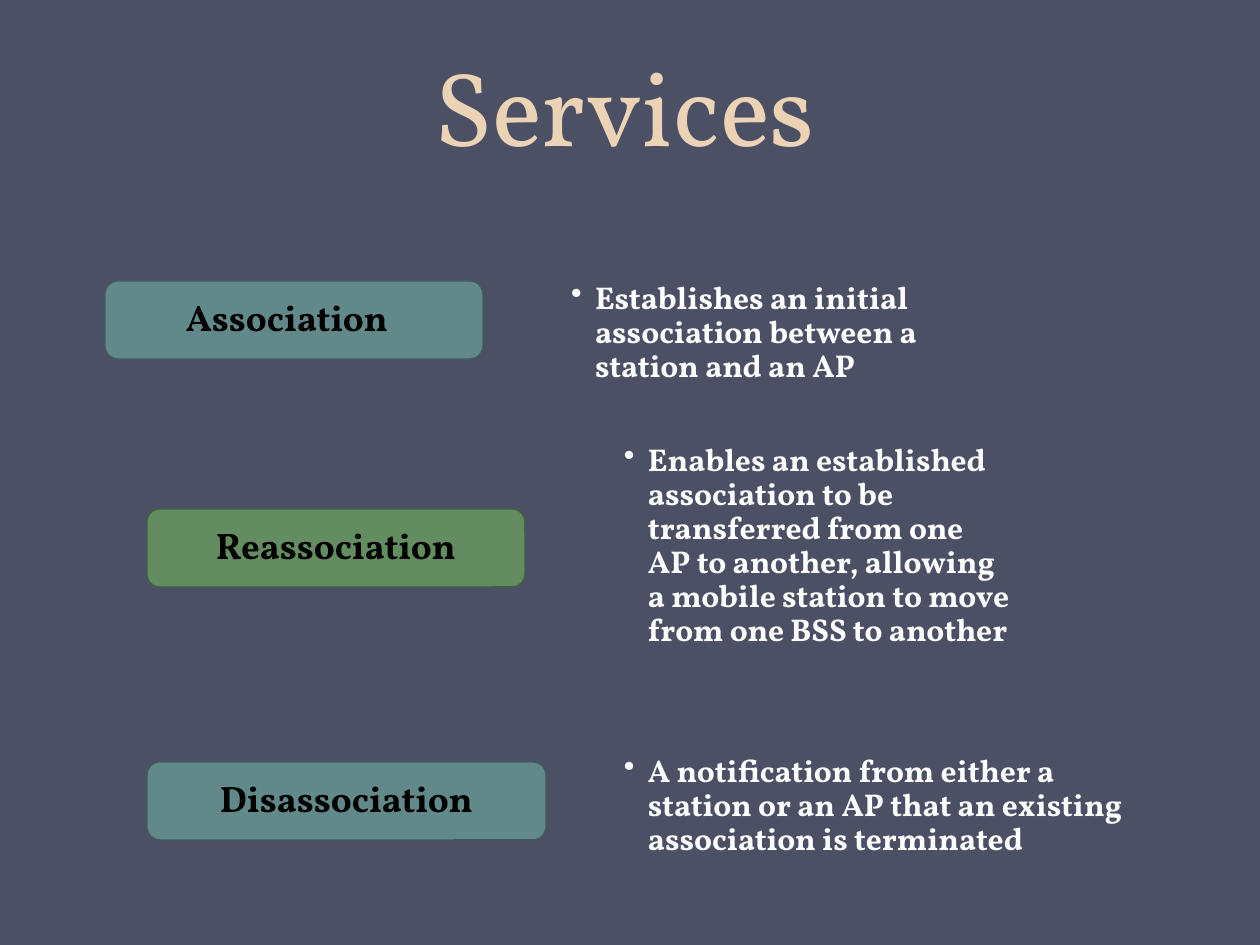
from lxml.etree import SubElement
from pptx import Presentation
from pptx.dml.color import RGBColor
from pptx.enum.shapes import MSO_SHAPE
from pptx.enum.text import MSO_ANCHOR, PP_ALIGN
from pptx.oxml.ns import qn
from pptx.util import Emu, Pt

FONT = "Vollkorn"
COLORS = {
    "background": "4B5064",
    "title": "EDD3B6",
    "label": "000000",
    "description": "FFFFFF",
    "teal": "61898A",
    "teal_line": "415B5C",
    "green": "648C61",
    "green_line": "435E40",
}
LABEL_HEIGHT = 78

# name, colour, label (left, top, width), right inset, description, its box
SERVICES = [
    ("Association", "teal", (105, 281, 378), 29,
     "Establishes an initial association between a station and an AP",
     (535, 278, 483, 82)),
    ("Reassociation", "green", (147, 509, 378), 15,
     "Enables an established association to be transferred from one AP to "
     "another, allowing a mobile station to move from one BSS to another",
     (588, 440, 441, 265)),
    ("Disassociation", "teal", (147, 762, 399), 15,
     "A notification from either a station or an AP that an existing "
     "association is terminated",
     (588, 751, 567, 154)),
]


def px(n):
    return Emu(round(n * 914400 / 126))


def rgb(name):
    return RGBColor.from_string(COLORS[name])


def write(sp, text, size, color, anchor, insets, spacing, bold=True):
    """Put one paragraph in a shape; insets are left, top, right, bottom."""
    tf = sp.text_frame
    tf.word_wrap = True
    tf.vertical_anchor = anchor
    tf.margin_left, tf.margin_top, tf.margin_right, tf.margin_bottom = map(px, insets)
    tf.text = text
    p = tf.paragraphs[0]
    p.line_spacing = spacing
    font = p.runs[0].font
    font.name, font.size, font.bold = FONT, Pt(size), bold
    font.color.rgb = rgb(color)
    return p


def add_title(s, text, box):
    sp = s.shapes.add_textbox(*map(px, box))
    p = write(sp, text, 60, "title", MSO_ANCHOR.BOTTOM, (13, 6, 13, 6), Pt(58), bold=False)
    p.alignment = PP_ALIGN.CENTER


def add_label(s, name, color, box, right_inset):
    sp = s.shapes.add_shape(MSO_SHAPE.ROUNDED_RECTANGLE, *map(px, box))
    sp.shadow.inherit = False
    sp.fill.solid()
    sp.fill.fore_color.rgb = rgb(color)
    sp.line.color.rgb = rgb(color + "_line")
    sp.line.width = Pt(0.75)
    p = write(sp, name, 21, "label", MSO_ANCHOR.MIDDLE, (15, 15, right_inset, 15), 0.9)
    p.alignment = PP_ALIGN.CENTER


def add_description(s, text, box):
    sp = s.shapes.add_textbox(*map(px, box))
    p = write(sp, text, 18, "description", MSO_ANCHOR.TOP, (36, 4, 18, 4), 0.9)
    pPr = p._p.get_or_add_pPr()
    pPr.set("marL", str(px(24)))
    pPr.set("indent", str(-px(24)))
    SubElement(pPr, qn("a:buChar"), char="•")


def main():
    prs = Presentation()
    prs.slide_width, prs.slide_height = px(1260), px(945)
    s = prs.slides.add_slide(prs.slide_layouts[6])
    s.background.fill.solid()
    s.background.fill.fore_color.rgb = rgb("background")

    add_title(s, "Services", (0, -5, 1249, 179))
    for name, color, label_box, right_inset, text, text_box in SERVICES:
        add_label(s, name, color, (*label_box, LABEL_HEIGHT), right_inset)
        add_description(s, text, text_box)
    prs.save("out.pptx")


if __name__ == "__main__":
    main()
